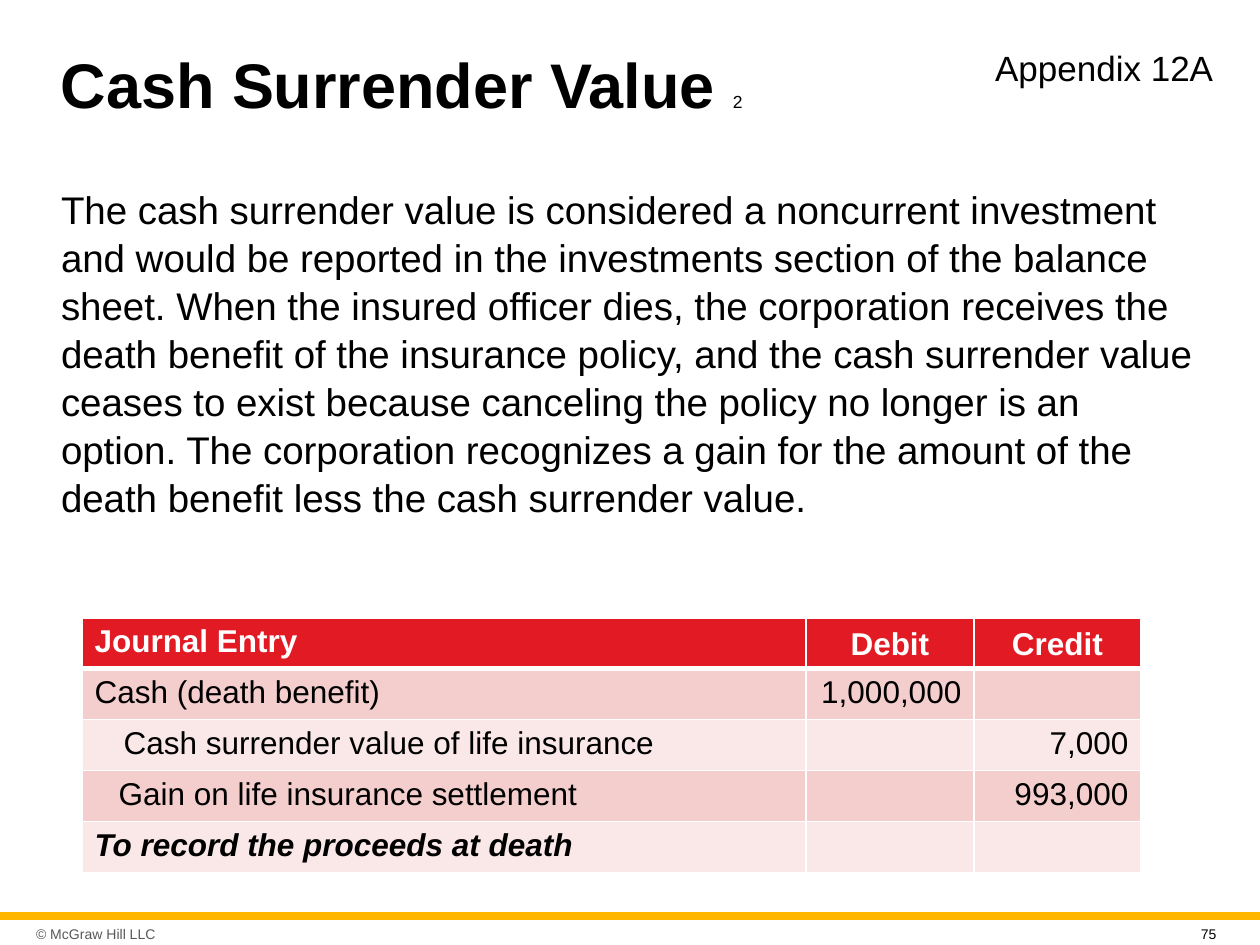
from typing import NamedTuple

from lxml.etree import SubElement as Sub
from pptx import Presentation
from pptx.dml.color import RGBColor
from pptx.enum.shapes import MSO_SHAPE as Kind
from pptx.enum.text import MSO_ANCHOR as Anchor, PP_ALIGN as Align
from pptx.oxml.ns import qn
from pptx.util import Emu, Pt

PX = 914400 / 126  # EMU in one px
BLACK = RGBColor(0x00, 0x00, 0x00)
WHITE = RGBColor(0xFF, 0xFF, 0xFF)
GRAY = RGBColor(0x59, 0x59, 0x59)
GOLD = RGBColor(0xFF, 0xB6, 0x00)
RED = RGBColor(0xE2, 0x1A, 0x23)
ROSE = RGBColor(0xF4, 0xCD, 0xCD)
PALE = RGBColor(0xFA, 0xE8, 0xE8)


class Box(NamedTuple):
    x: int
    y: int
    w: int
    h: int


class Note(NamedTuple):
    text: str
    box: Box
    size: int
    color: RGBColor = BLACK
    space: float = 1.0
    pad: tuple = (13, 6, 13, 6)
    anchor: Anchor = Anchor.TOP


class Entry(NamedTuple):
    name: str
    debit: str = ""
    credit: str = ""
    indent: int = 0
    bold: bool = False
    italic: bool = False


BODY = (
    "The cash surrender value is considered a noncurrent investment and would be "
    "reported in the investments section of the balance sheet. When the insured "
    "officer dies, the corporation receives the death benefit of the insurance "
    "policy, and the cash surrender value ceases to exist because canceling the "
    "policy no longer is an option. The corporation recognizes a gain for the "
    "amount of the death benefit less the cash surrender value."
)
NOTES = [
    Note("© McGraw Hill LLC", Box(30, 919, 170, 30), 8, GRAY,
         pad=(6, 6, 6, 6), anchor=Anchor.MIDDLE),
    Note("Appendix 12A", Box(982, 41, 258, 52), 20, pad=(13, 6, 0, 6)),
    Note(BODY, Box(48, 178, 1166, 339), 22, space=1.04),
    Note("75", Box(1188, 920, 49, 23), 8),
]
ENTRIES = [
    Entry("Journal Entry", "Debit", "Credit", bold=True),
    Entry("Cash (death benefit)", "1,000,000"),
    Entry("Cash surrender value of life insurance", credit="7,000", indent=29),
    Entry("Gain on life insurance settlement", credit="993,000", indent=24),
    Entry("To record the proceeds at death", bold=True, italic=True),
]
COLS = (724, 168, 167)
HEAD, ROW = 48, 51


def px(n: float) -> Emu:
    return Emu(round(n * PX))


def place(shape, box: Box) -> None:
    for key, val in zip(("left", "top", "width", "height"), box):
        setattr(shape, key, px(val))


def style(font, color: RGBColor, **fmt) -> None:
    for key, val in {"name": "Arial", **fmt}.items():
        setattr(font, key, val)
    font.color.rgb = color


def add_note(slide, note: Note) -> None:
    shape = slide.shapes.add_textbox(*map(px, note.box))
    frame = shape.text_frame
    frame.word_wrap = True
    frame.vertical_anchor = note.anchor
    for side, val in zip(("left", "top", "right", "bottom"), note.pad):
        setattr(frame, "margin_" + side, px(val))
    para = frame.paragraphs[0]
    para.line_spacing = note.space
    run = para.add_run()
    run.text = note.text
    style(run.font, note.color, size=Pt(note.size))


def set_title(slide) -> None:
    title = slide.shapes.title
    place(title, Box(48, 26, 840, 125))
    title.text_frame.vertical_anchor = Anchor.MIDDLE
    para = title.text_frame.paragraphs[0]
    para.alignment = Align.LEFT
    para.line_spacing = 0.9
    for text, size, bold in (("Cash Surrender Value ", 36, True), ("2", 10, False)):
        run = para.add_run()
        run.text = text
        style(run.font, BLACK, size=Pt(size), bold=bold)


def set_edges(cell, widths: dict) -> None:
    props = cell._tc.get_or_add_tcPr()
    for spot, (tag, width) in enumerate(widths.items()):
        line = Sub(props, qn("a:" + tag), w=str(Pt(width)))
        Sub(Sub(line, qn("a:solidFill")), qn("a:srgbClr"), val=str(WHITE))
        props.insert(spot, line)  # edges come before the fill


def fill_cell(cell, entry: Entry, row: int, col: int) -> None:
    head = row == 0
    cell.fill.solid()
    cell.fill.fore_color.rgb = RED if head else (PALE, ROSE)[row % 2]
    set_edges(cell, {"lnL": 1, "lnR": 1, "lnT": 3 if row == 1 else 1,
                     "lnB": 3 if head else 1})
    cell.vertical_anchor = Anchor.BOTTOM if head and col else Anchor.TOP
    para = cell.text_frame.paragraphs[0]
    para.text = (entry.name, entry.debit, entry.credit)[col]
    if col:
        para.alignment = Align.CENTER if head else Align.RIGHT
    elif entry.indent:
        props = para._p.get_or_add_pPr()
        props.set("marL", str(px(entry.indent)))
        props.set("indent", "0")
    style(para.font, WHITE if head else BLACK, size=Pt(18),
          bold=entry.bold, italic=entry.italic)
    for run in para.runs:
        style(run.font, WHITE if head else BLACK, size=Pt(18),
              bold=entry.bold, italic=entry.italic)


def add_journal(slide) -> None:
    count = len(ENTRIES)
    box = Box(82, 618, sum(COLS), HEAD + ROW * (count - 1))
    table = slide.shapes.add_table(count, len(COLS), *map(px, box)).table
    table.horz_banding = False
    for col, width in zip(table.columns, COLS):
        col.width = px(width)
    for row, entry in enumerate(ENTRIES):
        table.rows[row].height = px(ROW if row else HEAD)
        for col in range(len(COLS)):
            fill_cell(table.cell(row, col), entry, row, col)


def main() -> None:
    deck = Presentation()
    deck.slide_width, deck.slide_height = px(1260), px(945)
    slide = deck.slides.add_slide(deck.slide_layouts[5])

    # Footer rule
    rule = slide.shapes.add_shape(Kind.RECTANGLE, *map(px, Box(0, 912, 1260, 8)))
    rule.shadow.inherit = False
    rule.fill.solid()
    rule.fill.fore_color.rgb = GOLD
    rule.line.fill.background()

    # Title, texts and journal entry
    set_title(slide)
    for note in NOTES:
        add_note(slide, note)
    add_journal(slide)
    deck.save("out.pptx")


if __name__ == "__main__":
    main()
